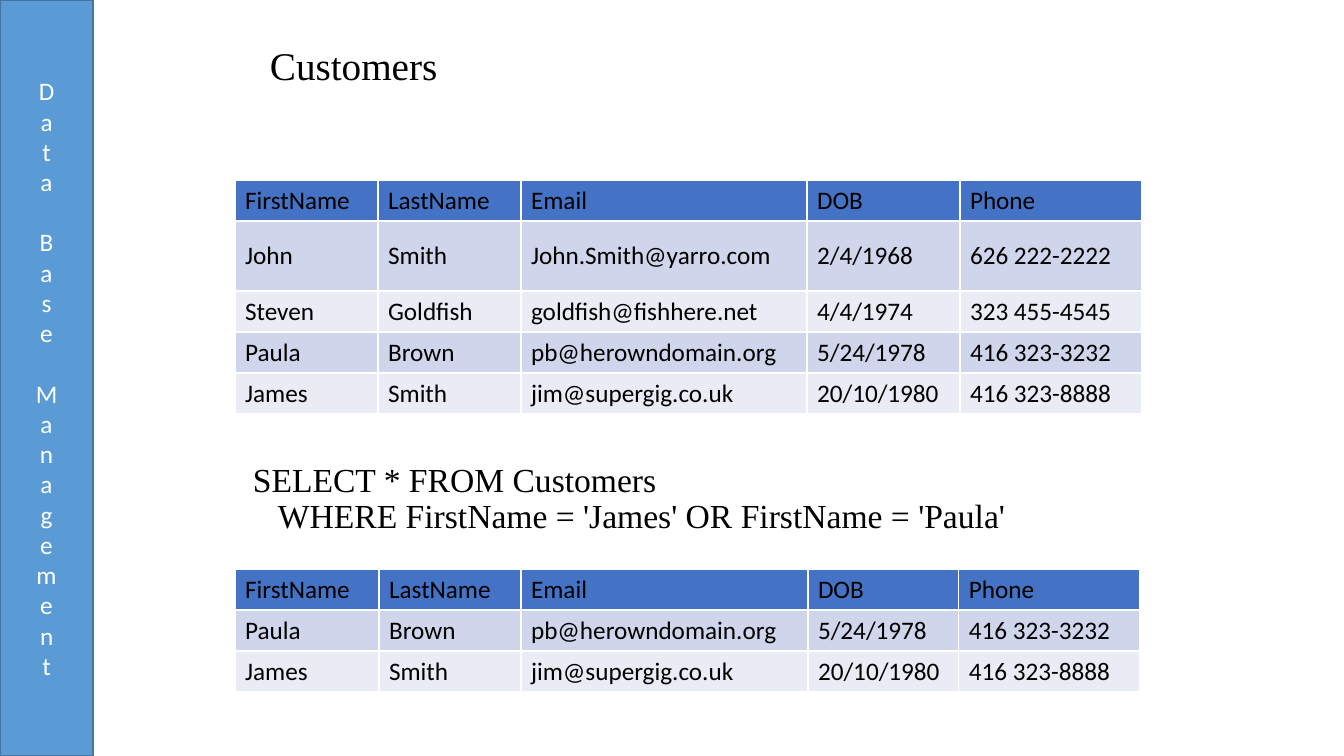
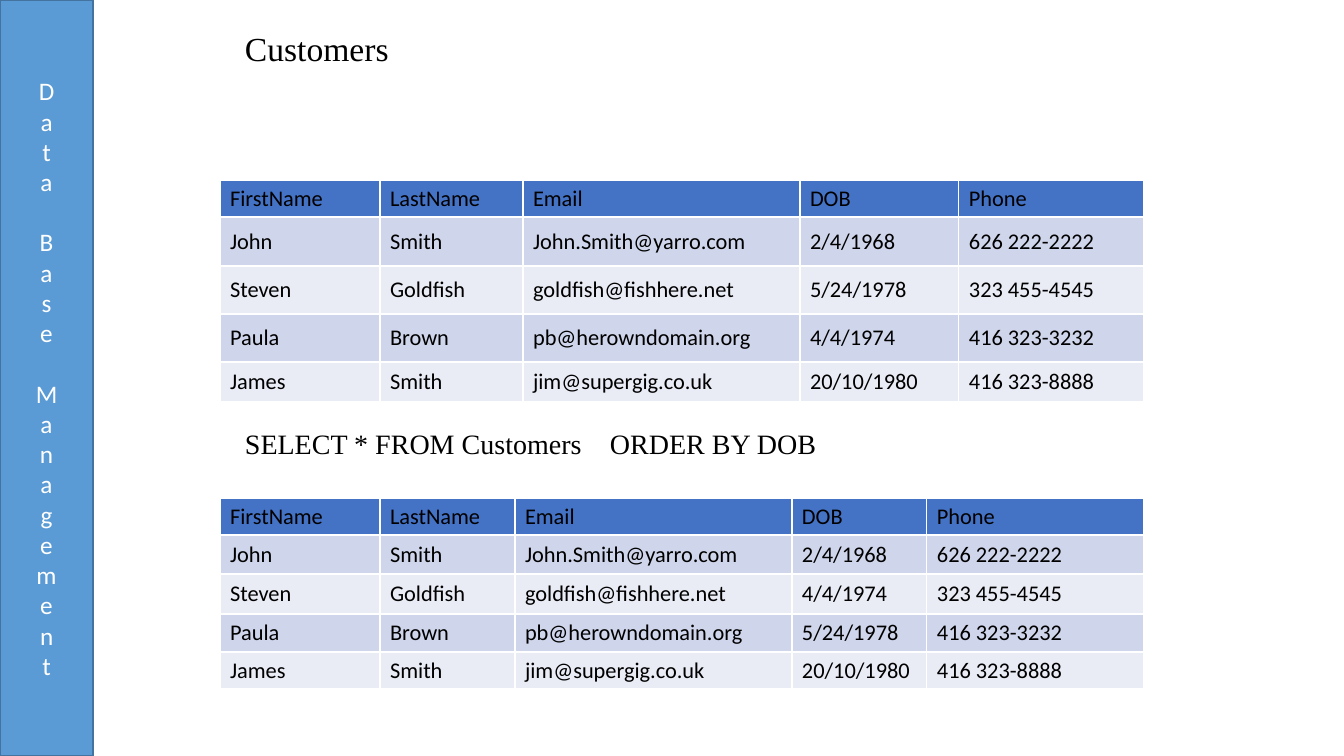
from dataclasses import dataclass

import pptx
import pptx.dml.color
import pptx.enum.shapes
import pptx.enum.text
import pptx.oxml.ns
import pptx.util
from lxml import etree

# Shared look
SLIDE_WIDTH, SLIDE_HEIGHT = 1344, 756
EMU_PER_PX = 12192000 / SLIDE_WIDTH
SIDEBAR_WIDTH = 93
TEXT_WIDTH = 857
TITLE_HEIGHT = 101
HANGING_INDENT = 25

BLACK = pptx.dml.color.RGBColor(0x00, 0x00, 0x00)
WHITE = pptx.dml.color.RGBColor(0xFF, 0xFF, 0xFF)
SIDEBAR_FILL = pptx.dml.color.RGBColor(0x5B, 0x9B, 0xD5)
SIDEBAR_LINE = pptx.dml.color.RGBColor(0x43, 0x73, 0x9E)
HEADER_FILL = pptx.dml.color.RGBColor(0x44, 0x72, 0xC4)
BAND_FILLS = (
    pptx.dml.color.RGBColor(0xCF, 0xD5, 0xEA),
    pptx.dml.color.RGBColor(0xE9, 0xEB, 0xF5),
)
TEXT_FONT = "Times New Roman"
TABLE_FONT = "Calibri"
MIDDLE = pptx.enum.text.MSO_ANCHOR.MIDDLE

# Customer data
Row = tuple[str, ...]
HEADER: Row = ("FirstName", "LastName", "Email", "DOB", "Phone")
JOHN: Row = ("John", "Smith", "John.Smith@yarro.com", "2/4/1968", "626 222-2222")
STEVEN: Row = ("Steven", "Goldfish", "goldfish@fishhere.net", "4/4/1974", "323 455-4545")
PAULA: Row = ("Paula", "Brown", "pb@herowndomain.org", "5/24/1978", "416 323-3232")
JAMES: Row = ("James", "Smith", "jim@supergig.co.uk", "20/10/1980", "416 323-8888")


def with_birth_date(row: Row, date: str) -> Row:
    return (*row[:3], date, row[4])


@dataclass(frozen=True)
class TextLine:
    text: str
    left: int
    top: int
    height: int
    size: int
    anchor: pptx.enum.text.MSO_ANCHOR = pptx.enum.text.MSO_ANCHOR.TOP
    hanging: int = 0
    tab: int = 0


@dataclass(frozen=True)
class CustomerTable:
    left: int
    top: int
    widths: tuple[int, ...]
    heights: tuple[int, ...]
    rows: tuple[Row, ...]
    size: int


@dataclass(frozen=True)
class QueryPage:
    title: TextLine
    query: TextLine
    tables: tuple[CustomerTable, CustomerTable]


PAGES = (
    QueryPage(
        title=TextLine("Customers", 260, 17, TITLE_HEIGHT, 28, MIDDLE),
        query=TextLine(
            "SELECT * FROM Customers\vWHERE FirstName = 'James' OR FirstName = 'Paula'",
            243, 458, 84, 24, hanging=HANGING_INDENT,
        ),
        tables=(
            CustomerTable(235, 180, (143, 143, 286, 153, 182), (41, 70, 41, 41, 41),
                          (HEADER, JOHN, STEVEN, PAULA, JAMES), 18),
            CustomerTable(235, 569, (144, 142, 287, 151, 181), (41, 41, 41),
                          (HEADER, PAULA, JAMES), 18),
        ),
    ),
    QueryPage(
        title=TextLine("Customers", 235, 0, TITLE_HEIGHT, 24, MIDDLE),
        query=TextLine("SELECT * FROM Customers\tORDER BY DOB", 235, 425, 53, 20, tab=365),
        tables=(
            CustomerTable(220, 180, (160, 143, 277, 159, 185), (37, 49, 48, 48, 40),
                          (HEADER, JOHN, with_birth_date(STEVEN, PAULA[3]),
                           with_birth_date(PAULA, STEVEN[3]), JAMES), 16),
            CustomerTable(220, 498, (160, 135, 277, 135, 217), (37, 39, 40, 38, 37),
                          (HEADER, JOHN, STEVEN, PAULA, JAMES), 16),
        ),
    ),
)


def px(length: int) -> pptx.util.Emu:
    return pptx.util.Emu(round(length * EMU_PER_PX))


def set_font(para, name: str, size: int, color: pptx.dml.color.RGBColor) -> None:
    para.font.name = name
    para.font.size = pptx.util.Pt(size)
    para.font.bold = False
    para.font.color.rgb = color


def draw_sidebar(page) -> None:
    bar = page.shapes.add_shape(
        pptx.enum.shapes.MSO_SHAPE.RECTANGLE, 0, 0, px(SIDEBAR_WIDTH), px(SLIDE_HEIGHT)
    )
    bar.shadow.inherit = False
    bar.fill.solid()
    bar.fill.fore_color.rgb = SIDEBAR_FILL
    bar.line.color.rgb = SIDEBAR_LINE
    bar.line.width = pptx.util.Pt(1)
    frame = bar.text_frame
    frame.vertical_anchor = MIDDLE
    # Stack the letters upright
    frame._txBody.bodyPr.set("vert", "wordArtVert")
    para = frame.paragraphs[0]
    para.text = "Data Base Management"
    para.alignment = pptx.enum.text.PP_ALIGN.CENTER
    set_font(para, TABLE_FONT, 18, WHITE)


def draw_text(page, line: TextLine) -> None:
    box = page.shapes.add_textbox(px(line.left), px(line.top), px(TEXT_WIDTH), px(line.height))
    frame = box.text_frame
    frame.word_wrap = True
    frame.vertical_anchor = line.anchor
    para = frame.paragraphs[0]
    para.text = line.text
    para.line_spacing = 0.9
    properties = para._p.get_or_add_pPr()
    if line.hanging:
        properties.set("marL", str(px(line.hanging)))
        properties.set("indent", str(-px(line.hanging)))
    if line.tab:
        tabs = etree.SubElement(properties, pptx.oxml.ns.qn("a:tabLst"))
        etree.SubElement(tabs, pptx.oxml.ns.qn("a:tab"), pos=str(px(line.tab)), algn="l")
    set_font(para, TEXT_FONT, line.size, BLACK)


def draw_table(page, spec_table: CustomerTable) -> None:
    table = page.shapes.add_table(
        len(spec_table.rows), len(HEADER), px(spec_table.left), px(spec_table.top),
        px(sum(spec_table.widths)), px(sum(spec_table.heights)),
    ).table
    for column, width in zip(table.columns, spec_table.widths):
        column.width = px(width)
    for index, (row, height) in enumerate(zip(spec_table.rows, spec_table.heights)):
        table.rows[index].height = px(height)
        fill = BAND_FILLS[(index - 1) % 2] if index else HEADER_FILL
        for cell, text in zip(table.rows[index].cells, row):
            cell.fill.solid()
            cell.fill.fore_color.rgb = fill
            cell.vertical_anchor = MIDDLE
            para = cell.text_frame.paragraphs[0]
            para.text = text
            set_font(para, TABLE_FONT, spec_table.size, BLACK)


def main() -> None:
    deck = pptx.Presentation()
    deck.slide_width, deck.slide_height = px(SLIDE_WIDTH), px(SLIDE_HEIGHT)
    for content in PAGES:
        page = deck.slides.add_slide(deck.slide_layouts[6])
        draw_sidebar(page)
        draw_text(page, content.title)
        draw_text(page, content.query)
        for table in content.tables:
            draw_table(page, table)
    deck.save("out.pptx")


if __name__ == "__main__":
    main()
